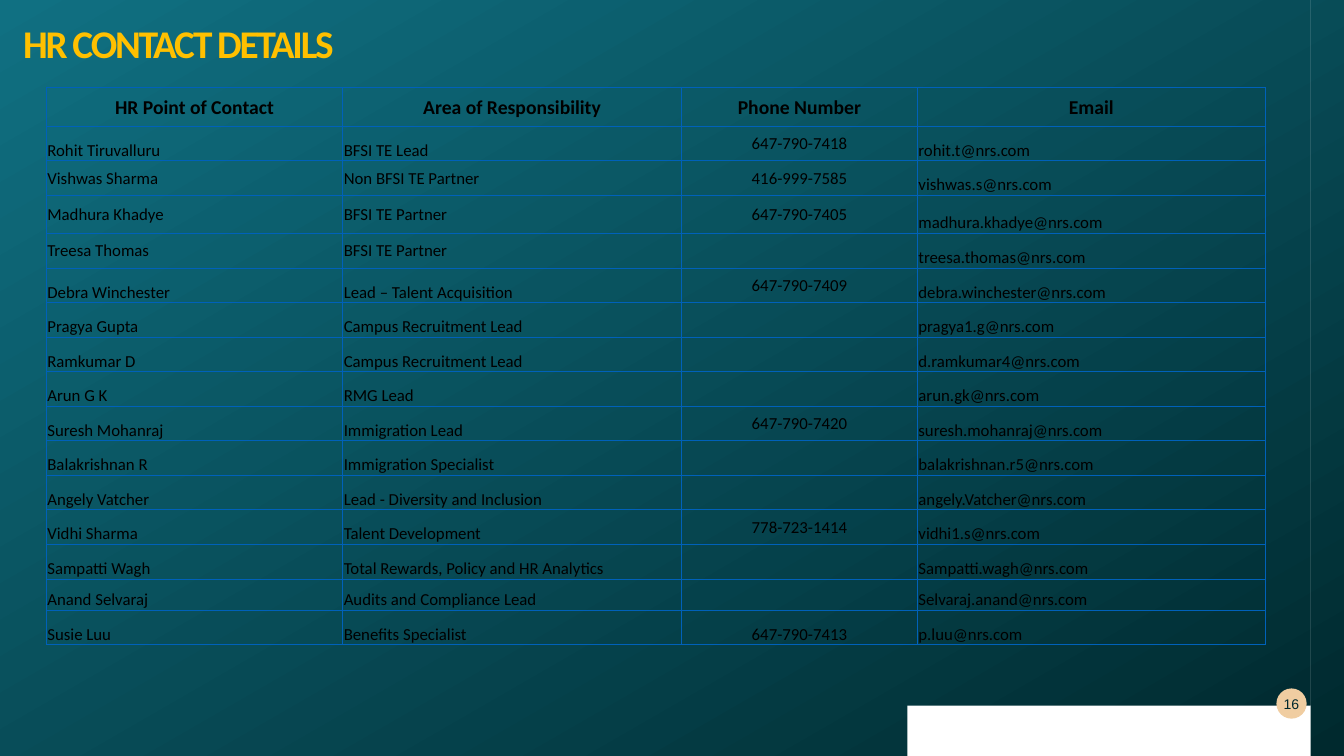
from lxml.etree import SubElement
from pptx import Presentation
from pptx.dml.color import RGBColor
from pptx.enum.shapes import MSO_SHAPE
from pptx.enum.text import MSO_ANCHOR, PP_ALIGN
from pptx.oxml.ns import qn
from pptx.util import Inches, Pt

COLORS = {"dark": "00292E", "teal": "107082", "white": "FFFFFF", "peach": "F0CDA1",
          "gold": "FFC000", "black": "000000", "border": "0061BA"}
WIDTH, HEIGHT = 13.33, 7.5
COLUMNS = [2.94, 3.36, 2.34, 3.45]
HEADER_HEIGHT, TALL_ROW, SHORT_ROW = 0.38, 0.38, 0.25
TALL_INDEX, SHORT_INDEX = 3, 14
MIDDLE_ROWS = (2, 3, 4)
PHONE, EMAIL = 2, 3
DOMAIN = "@nrs.com"
HEADERS = ["HR Point of Contact", "Area of Responsibility", "Phone Number", "Email"]
CONTACTS = [
    ("Rohit Tiruvalluru", "BFSI TE Lead", "647-790-7418", "rohit.t"),
    ("Vishwas Sharma", "Non BFSI TE Partner", "416-999-7585", "vishwas.s"),
    ("Madhura Khadye", "BFSI TE Partner", "647-790-7405", "madhura.khadye"),
    ("Treesa Thomas", "BFSI TE Partner", "", "treesa.thomas"),
    ("Debra Winchester", "Lead – Talent Acquisition", "647-790-7409", "debra.winchester"),
    ("Pragya Gupta", "Campus Recruitment Lead", "", "pragya1.g"),
    ("Ramkumar D", "Campus Recruitment Lead", "", "d.ramkumar4"),
    ("Arun G K", "RMG Lead", "", "arun.gk"),
    ("Suresh Mohanraj", "Immigration Lead", "647-790-7420", "suresh.mohanraj"),
    ("Balakrishnan R", "Immigration Specialist", "", "balakrishnan.r5"),
    ("Angely Vatcher", "Lead - Diversity and Inclusion", "", "angely.Vatcher"),
    ("Vidhi Sharma", "Talent Development", "778-723-1414", "vidhi1.s"),
    ("Sampatti Wagh", "Total Rewards, Policy and HR Analytics", "", "Sampatti.wagh"),
    ("Anand Selvaraj", "Audits and Compliance Lead", "", "Selvaraj.anand"),
    ("Susie Luu", "Benefits Specialist", "647-790-7413", "p.luu"),
]


def color(name):
    return RGBColor.from_string(COLORS[name])


def lengths(box):
    return [Inches(value) for value in box]


def write(frame, text, size, name, bold=False, font="Calibri", align=PP_ALIGN.LEFT):
    para = frame.paragraphs[0]
    para.alignment = align
    span = para.add_run()
    span.text = text
    span.font.size = Pt(size)
    span.font.name = font
    span.font.bold = bold
    span.font.color.rgb = color(name)
    return para, span


def clear_margins(frame):
    frame.margin_left = frame.margin_top = frame.margin_right = frame.margin_bottom = 0


def add_backdrop(page, box):
    backdrop = page.shapes.add_shape(MSO_SHAPE.RECTANGLE, *lengths(box))
    backdrop.shadow.inherit = False
    backdrop.line.fill.background()
    backdrop.fill.gradient()
    backdrop.fill.gradient_angle = 120
    for stop, name in zip(backdrop.fill.gradient_stops, ("dark", "teal")):
        stop.color.rgb = color(name)


def add_bracket(page, box, thickness):
    left, top, width, height = box
    right, bottom = left + width, top + height
    inner_right, inner_top, inner_bottom = right - thickness, top + thickness, bottom - thickness
    builder = page.shapes.build_freeform(left, top, scale=Inches(1))
    builder.add_line_segments([
        (right, top), (right, bottom), (left, bottom), (left, inner_bottom),
        (inner_right, inner_bottom), (inner_right, inner_top), (left, inner_top)], close=True)
    bracket = builder.convert_to_shape()
    bracket.shadow.inherit = False
    bracket.fill.solid()
    bracket.fill.fore_color.rgb = color("white")
    bracket.line.fill.background()


def add_page_number(page, box, number):
    badge = page.shapes.add_shape(MSO_SHAPE.OVAL, *lengths(box))
    badge.shadow.inherit = False
    badge.fill.solid()
    badge.fill.fore_color.rgb = color("peach")
    badge.line.fill.background()
    frame = badge.text_frame
    clear_margins(frame)
    frame.word_wrap = False
    frame.vertical_anchor = MSO_ANCHOR.MIDDLE
    write(frame, number, 10, "dark", font="Arial", align=PP_ALIGN.CENTER)


def add_title(page, box, text):
    frame = page.shapes.add_textbox(*lengths(box)).text_frame
    frame.word_wrap = True
    clear_margins(frame)
    para, span = write(frame, text, 28, "gold", bold=True)
    para.line_spacing = 0.9
    span.font._element.set("spc", "-150")


def style_cell(cell):
    cell.margin_left = cell.margin_top = cell.margin_right = Inches(0.01)
    cell.margin_bottom = 0
    properties = cell._tc.get_or_add_tcPr()
    for side in ("lnL", "lnR", "lnT", "lnB"):
        line = SubElement(properties, qn(f"a:{side}"), w=str(Pt(0.75)))
        fill = SubElement(line, qn("a:solidFill"))
        SubElement(fill, qn("a:srgbClr"), val=COLORS["border"])
    cell.fill.background()


def cell_anchor(row, column):
    phone_in_middle = column == PHONE and row < len(CONTACTS)
    label_in_middle = column < PHONE and row in MIDDLE_ROWS
    if row == 0 or phone_in_middle or label_in_middle:
        return MSO_ANCHOR.MIDDLE
    return MSO_ANCHOR.BOTTOM


def add_contacts(page, box):
    rows = [HEADERS] + [(*contact[:EMAIL], contact[EMAIL] + DOMAIN) for contact in CONTACTS]
    table = page.shapes.add_table(len(rows), len(COLUMNS), *lengths(box)).table
    table.first_row = table.horz_banding = False
    for column, width in zip(table.columns, COLUMNS):
        column.width = Inches(width)
    special = {0: HEADER_HEIGHT, TALL_INDEX: TALL_ROW, SHORT_INDEX: SHORT_ROW}
    regular = (box[3] - sum(special.values())) / (len(rows) - len(special))
    for row, values in enumerate(rows):
        table.rows[row].height = Inches(special.get(row, regular))
        for column, text in enumerate(values):
            cell = table.cell(row, column)
            style_cell(cell)
            cell.vertical_anchor = cell_anchor(row, column)
            centred = row == 0 or column == PHONE
            write(cell.text_frame, text, 14 if row == 0 else 12, "black", bold=row == 0,
                  align=PP_ALIGN.CENTER if centred else PP_ALIGN.LEFT)


def main():
    deck = Presentation()
    deck.slide_width, deck.slide_height = Inches(WIDTH), Inches(HEIGHT)
    page = deck.slides.add_slide(deck.slide_layouts[6])
    add_backdrop(page, (0, 0, WIDTH, HEIGHT))
    add_bracket(page, (9.39, 0, WIDTH - 9.39, HEIGHT), 0.2)
    add_page_number(page, (12.66, 6.83, 0.3, 0.3), "16")
    add_title(page, (0.23, 0.24, 11.26, 0.4), "HR CONTACT DETAILS")
    add_contacts(page, (0.46, 0.87, sum(COLUMNS), 5.47))
    deck.save("out.pptx")


if __name__ == "__main__":
    main()
